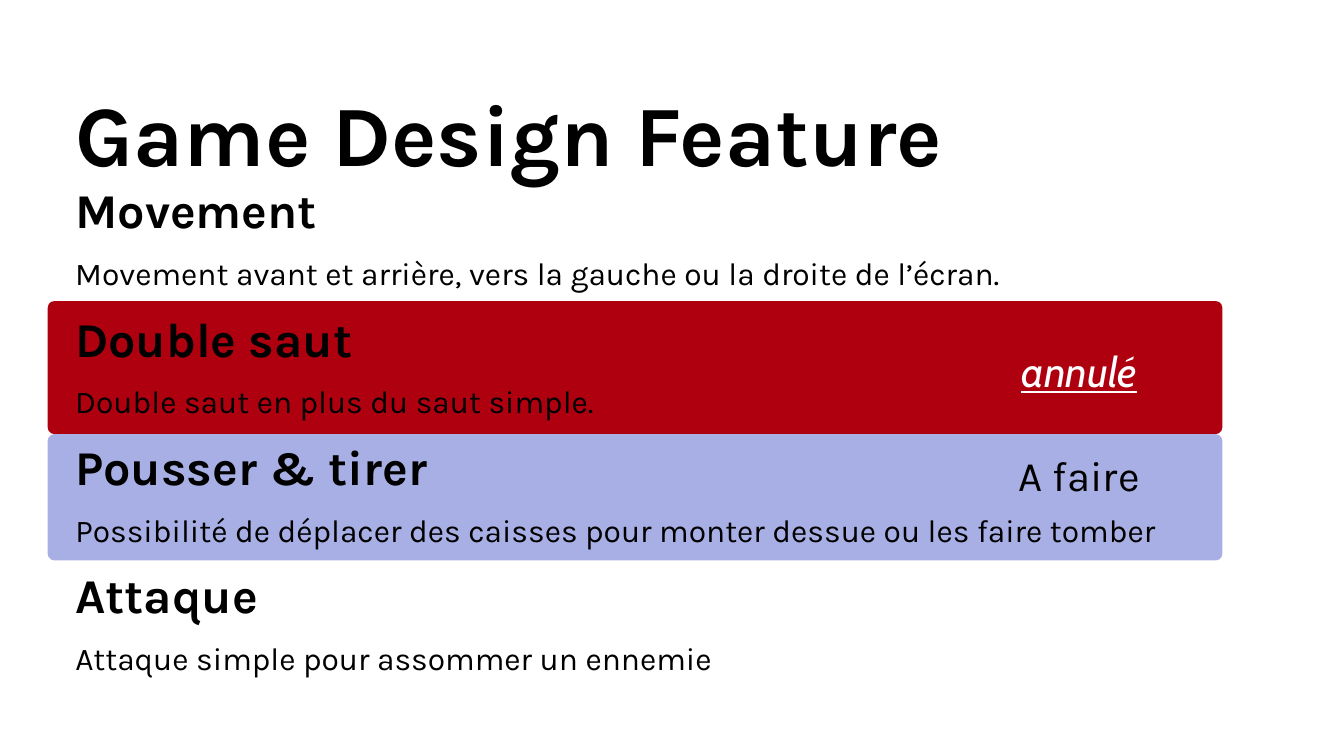
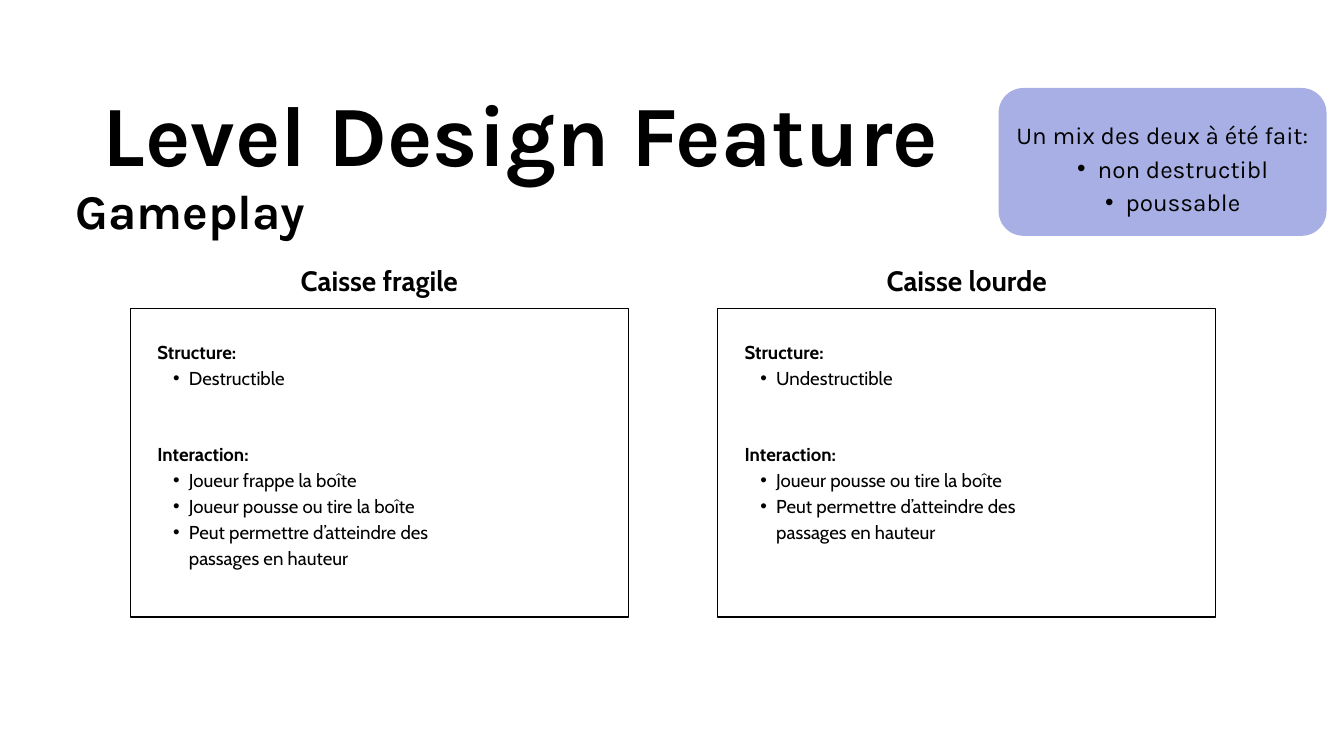
from lxml import etree
from pptx import Presentation
from pptx.dml.color import RGBColor
from pptx.enum.shapes import MSO_SHAPE
from pptx.enum.text import MSO_AUTO_SIZE, PP_ALIGN
from pptx.oxml.ns import qn
from pptx.util import Inches, Pt

LEFT, CENTER, JUSTIFY = PP_ALIGN.LEFT, PP_ALIGN.CENTER, PP_ALIGN.JUSTIFY
RECT, ROUNDED = MSO_SHAPE.RECTANGLE, MSO_SHAPE.ROUNDED_RECTANGLE
FIT = MSO_AUTO_SIZE.SHAPE_TO_FIT_TEXT

BLACK, WHITE, RED, LILAC = "000000", "FFFFFF", "AF0010", "A8AFE4"
KARLA, CABIN = "Karla", "Cabin"
MARGIN = 1.12


def rgb(color):
    return RGBColor.from_string(color)


def add_bullet(p, indent):
    """Bullet hanging by half of the paragraph's indent."""
    p.level = 1
    pPr = p._p.get_or_add_pPr()
    pPr.set("marL", str(Inches(indent)))
    pPr.set("indent", str(-Inches(indent / 2)))
    etree.SubElement(pPr, qn("a:buFont")).set("typeface", "Arial")
    etree.SubElement(pPr, qn("a:buChar")).set("char", "•")


def add_text(s, box, lines, size, font, leading, align=LEFT, color=BLACK,
             bold=False, italic=False, underline=False, indent=0.47):
    """First line is a lead; any further lines are plain bullets."""
    tf = s.shapes.add_textbox(*map(Inches, box)).text_frame
    tf.margin_left = tf.margin_top = tf.margin_right = tf.margin_bottom = 0
    tf.word_wrap = True
    tf.auto_size = FIT
    for i, line in enumerate(lines):
        p = tf.paragraphs[0] if i == 0 else tf.add_paragraph()
        p.text = line
        p.alignment = align
        p.line_spacing = Pt(leading)
        if i:
            add_bullet(p, indent)
        r = p.runs[0]
        r.font.name, r.font.size = font, Pt(size)
        r.font.bold = bold and i == 0
        r.font.italic, r.font.underline = italic, underline
        r.font.color.rgb = rgb(color)


def add_box(s, box, fill=None, radius=0):
    """Filled rounded panel, or an outlined frame when there is no fill."""
    sp = s.shapes.add_shape(ROUNDED if radius else RECT, *map(Inches, box))
    sp.shadow.inherit = False
    if radius:
        sp.adjustments[0] = radius / min(box[2:])
    if fill:
        sp.fill.solid()
        sp.fill.fore_color.rgb = rgb(fill)
        sp.line.fill.background()
    else:
        sp.fill.background()
        sp.line.color.rgb = rgb(BLACK)
        sp.line.width = Pt(1.5)


def add_title(s, text, width, align):
    add_text(s, (MARGIN, 0.94, width, 1.71), [text], 92, KARLA, 128.8, align, bold=True)


def add_heading(s, text, top, width, align):
    add_text(s, (MARGIN, top, width, 0.97), [text], 52, KARLA, 72.8, align, bold=True)


def add_feature(s, top, name, description, width):
    add_heading(s, name, top, 13.62, JUSTIFY)
    add_text(s, (MARGIN, top + 1.14, width, 0.63), [description], 34, KARLA, 47.6, JUSTIFY)


def add_status(s, top, text, font, **style):
    add_text(s, (15.11, top, 1.9, 0.82), [text], 45, font, 63, CENTER, **style)


def add_crate(s, left, top, name, structure, interaction):
    """Titled frame with two bullet groups."""
    add_box(s, (left, top, 7.41, 4.59))
    for dy, height, lines in ((0.43, 0.77, ["Structure:"] + structure),
                              (1.94, 1.92, ["Interaction:"] + interaction)):
        add_text(s, (left + 0.4, top + dy, 4.42, height), lines, 20, CABIN, 28, bold=True)
    add_text(s, (left - 0.33, top - 0.61, 8.07, 0.45), [name], 30, CABIN, 31.5,
             CENTER, bold=True)


def add_note(s, left, top, lines):
    add_box(s, (left, top, 4.88, 2.2), LILAC, 0.37)
    add_text(s, (left + 0.2, top + 0.4, 4.48, 1.49), lines, 26, KARLA, 36.4,
             CENTER, indent=0.61)


def game_design(s):
    # Status bands
    add_box(s, (0.71, 4.48, 17.48, 1.98), RED, 0.1)
    add_box(s, (0.71, 6.46, 17.48, 1.88), LILAC, 0.1)
    # Title and features
    add_title(s, "Game Design Feature", 13.62, JUSTIFY)
    features = [
        ("Movement", "Movement avant et arrière, vers la gauche ou la droite de l’écran.", 14.26),
        ("Double saut", "Double saut en plus du saut simple.", 7.86),
        ("Pousser & tirer",
         "Possibilité de déplacer des caisses pour monter dessue ou les faire tomber", 17.75),
        ("Attaque", "Attaque simple pour assommer un ennemie", 9.71),
    ]
    for i, feature in enumerate(features):
        add_feature(s, 2.54 + 1.91 * i, *feature)
    # Status labels
    add_status(s, 5.02, "annulé", CABIN, color=WHITE, italic=True, underline=True)
    add_status(s, 6.56, "A faire", KARLA)


def level_design(s):
    add_title(s, "Level Design Feature", 13.26, CENTER)
    add_heading(s, "Gameplay", 2.55, 13.26, LEFT)
    # Crates
    push = ["Joueur pousse ou tire la boîte",
            "Peut permettre d’atteindre des passages en hauteur"]
    crates = [("Caisse fragile", ["Destructible"], ["Joueur frappe la boîte"] + push),
              ("Caisse lourde", ["Undestructible"], push)]
    for i, crate in enumerate(crates):
        add_crate(s, 1.94 + 8.74 * i, 4.59, *crate)
    # Decision
    add_note(s, 14.86, 1.31, ["Un mix des deux à été fait:", "non destructibl", "poussable"])


def main():
    prs = Presentation()
    prs.slide_width, prs.slide_height = Inches(20), Inches(11.25)
    for build in (game_design, level_design):
        s = prs.slides.add_slide(prs.slide_layouts[6])
        s.background.fill.solid()
        s.background.fill.fore_color.rgb = rgb(WHITE)
        build(s)
    prs.save("out.pptx")


if __name__ == "__main__":
    main()
